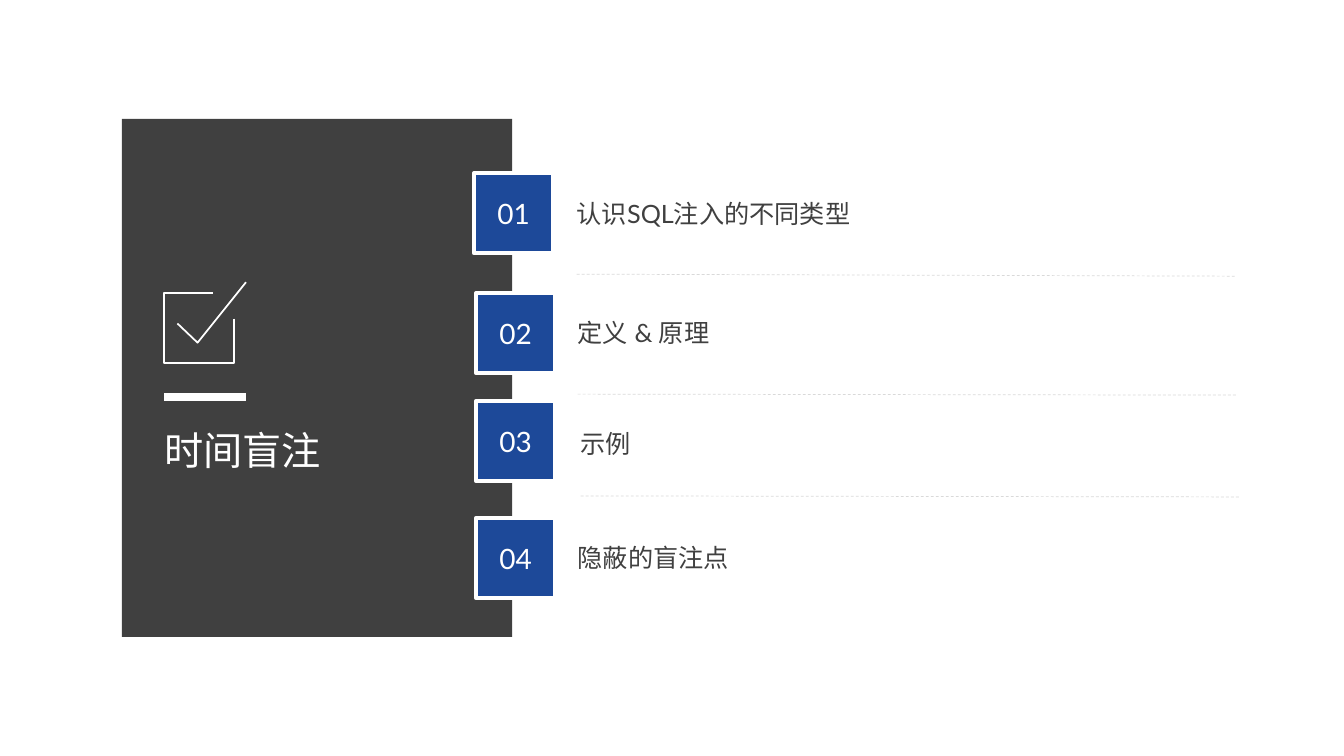
from dataclasses import dataclass

from lxml import etree
from pptx import Presentation
from pptx import util as u
from pptx.dml.color import RGBColor
from pptx.enum import dml, shapes, text
from pptx.oxml.ns import qn
from pptx.shapes.base import BaseShape
from pptx.slide import Slide
from pptx.text.text import TextFrame

PX = 9144  # EMU in one px: 100 px to the inch


@dataclass(frozen=True)
class Theme:
    dark: RGBColor = RGBColor(0x40, 0x40, 0x40)
    blue: RGBColor = RGBColor(0x1D, 0x49, 0x99)
    white: RGBColor = RGBColor(0xFF, 0xFF, 0xFF)
    rule: RGBColor = RGBColor(0xD9, 0xD9, 0xD9)
    font: str = "Lato"
    title_size: int = 28
    number_size: int = 20
    item_size: int = 18


@dataclass(frozen=True)
class AgendaItem:
    label: str
    badge_left: int
    badge_top: int
    text_left: int
    text_top: int
    rule_top: int | None = None
    rule_drop: int = 1


THEME = Theme()
BADGE_SIDE = 79
ITEM_WIDTH = 653
ITEM_HEIGHT = 30

AGENDA = [
    AgendaItem("认识SQL注入的不同类型", 470, 172, 572, 197, 272, 2),
    AgendaItem("定义 & 原理", 472, 291, 573, 315, 391),
    AgendaItem("示例", 472, 398, 576, 425, 492),
    AgendaItem("隐蔽的盲注点", 472, 514, 573, 538),
]

CHECK_MARK = [(244, 280), (196, 340), (176, 321)]
CHECK_BOX = [(232, 316), (232, 360), (163, 360), (163, 291), (211, 291)]


def px(*lengths: int) -> list[u.Emu]:
    return [u.Emu(length * PX) for length in lengths]


def write(frame: TextFrame, words: str, size: int, color: RGBColor) -> None:
    paragraph = frame.paragraphs[0]
    run = paragraph.add_run()
    run.text = words
    run.font.name = THEME.font
    run.font.size = u.Pt(size)
    run.font.color.rgb = color
    east_asian = etree.SubElement(run.font._element, qn("a:ea"))
    east_asian.set("typeface", THEME.font)


def add_text(slide: Slide, box: tuple[int, int, int, int], words: str, size: int,
             color: RGBColor, anchor: text.MSO_ANCHOR) -> TextFrame:
    frame = slide.shapes.add_textbox(*px(*box)).text_frame
    frame.margin_left = frame.margin_top = frame.margin_right = frame.margin_bottom = 0
    frame.word_wrap = True
    frame.auto_size = text.MSO_AUTO_SIZE.SHAPE_TO_FIT_TEXT
    frame.vertical_anchor = anchor
    write(frame, words, size, color)
    return frame


def add_rectangle(slide: Slide, box: tuple[int, int, int, int], fill: RGBColor) -> BaseShape:
    shape = slide.shapes.add_shape(shapes.MSO_SHAPE.RECTANGLE, *px(*box))
    shape.shadow.inherit = False
    shape.fill.solid()
    shape.fill.fore_color.rgb = fill
    shape.line.fill.background()
    return shape


def add_line(slide: Slide, start: tuple[int, int], end: tuple[int, int],
             color: RGBColor, width: float, dashed: bool = False) -> None:
    connector = slide.shapes.add_connector(
        shapes.MSO_CONNECTOR.STRAIGHT, *px(*start, *end))
    connector.line.color.rgb = color
    connector.line.width = u.Pt(width)
    if dashed:
        connector.line.dash_style = dml.MSO_LINE.DASH
    etree.SubElement(connector._element.spPr, qn("a:effectLst"))


def add_outline(slide: Slide, points: list[tuple[int, int]]) -> None:
    """Draw an open white polyline through the points."""
    builder = slide.shapes.build_freeform(*points[0], scale=PX)
    builder.add_line_segments(points[1:], close=False)
    shape = builder.convert_to_shape()
    shape.shadow.inherit = False
    shape.fill.background()
    shape.line.color.rgb = THEME.white
    shape.line.width = u.Pt(1.25)


def add_title_panel(slide: Slide) -> None:
    add_rectangle(slide, (121, 118, 387, 514), THEME.dark)
    title = add_text(slide, (163, 428, 267, 43), "时间盲注", THEME.title_size,
                     THEME.white, text.MSO_ANCHOR.TOP)
    title.paragraphs[0].line_spacing = 0.9
    add_line(slide, (163, 394), (244, 394), THEME.white, 6)
    for points in (CHECK_MARK, CHECK_BOX):
        add_outline(slide, points)


def add_agenda_item(slide: Slide, number: int, item: AgendaItem) -> None:
    badge = add_rectangle(
        slide, (item.badge_left, item.badge_top, BADGE_SIDE, BADGE_SIDE), THEME.blue)
    badge.line.color.rgb = THEME.white
    badge.line.width = u.Pt(3)
    frame = badge.text_frame
    frame.vertical_anchor = text.MSO_ANCHOR.MIDDLE
    frame.paragraphs[0].alignment = text.PP_ALIGN.CENTER
    write(frame, f"{number:02}", THEME.number_size, THEME.white)

    add_text(slide, (item.text_left, item.text_top, ITEM_WIDTH, ITEM_HEIGHT),
             item.label, THEME.item_size, THEME.dark, text.MSO_ANCHOR.MIDDLE)
    if item.rule_top is not None:
        add_line(slide, (item.text_left, item.rule_top),
                 (item.text_left + ITEM_WIDTH, item.rule_top + item.rule_drop),
                 THEME.rule, 0.5, dashed=True)


def main() -> None:
    presentation = Presentation()
    presentation.slide_width, presentation.slide_height = px(1333, 750)
    slide = presentation.slides.add_slide(presentation.slide_layouts[6])
    add_title_panel(slide)
    for number, item in enumerate(AGENDA, start=1):
        add_agenda_item(slide, number, item)
    presentation.save("out.pptx")


if __name__ == "__main__":
    main()
